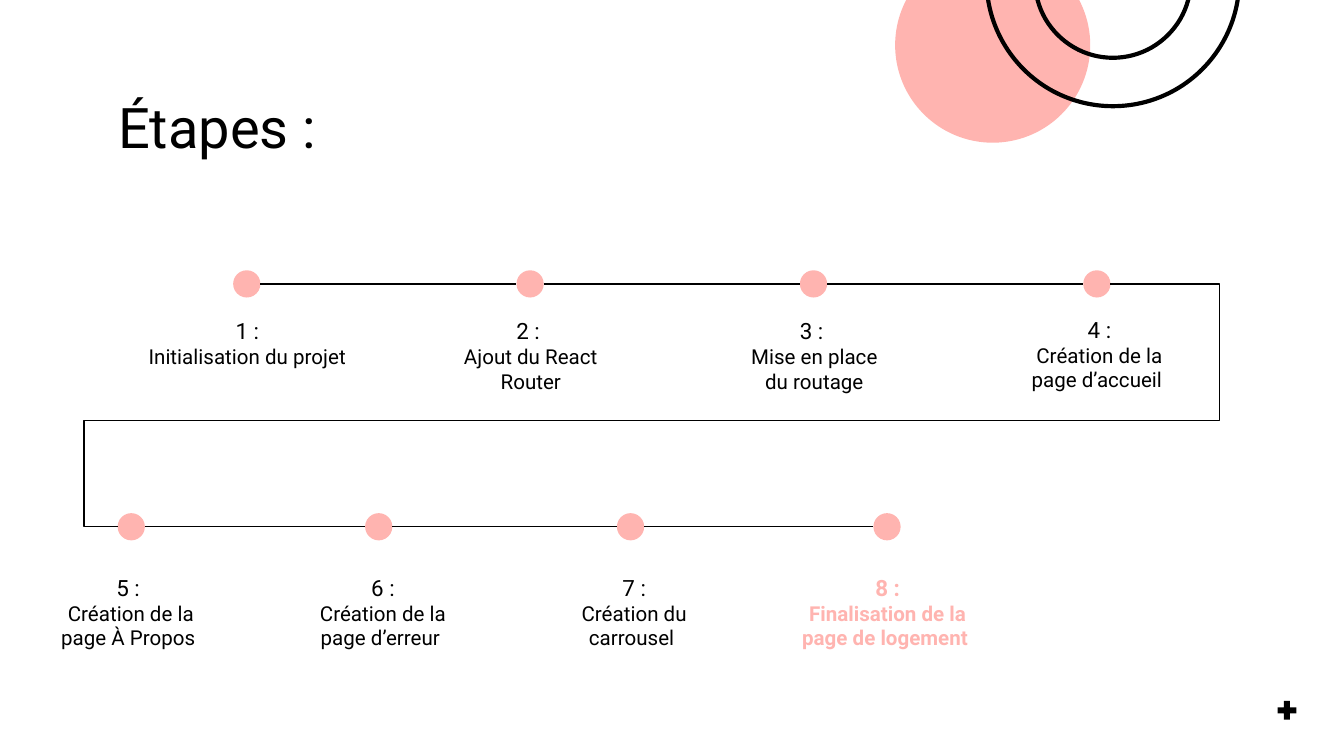
from dataclasses import dataclass

from lxml.etree import SubElement
from pptx import Presentation
from pptx.dml.color import RGBColor
from pptx.enum.shapes import MSO_CONNECTOR as CONN, MSO_SHAPE as SHAPE
from pptx.enum.text import PP_ALIGN as ALIGN
from pptx.oxml.ns import qn
from pptx.util import Pt

COLORS = {"ink": "000000", "accent": "FFB4B0"}
FONT = "Roboto"
DOT = 14.6
ROW_Y = (152.1, 282.2)


@dataclass
class Step:
    number: str
    label: str
    dot_x: float
    row: int
    left: float
    top: float
    width: float = 93.6
    active: bool = False


@dataclass
class Circle:
    cx: float
    cy: float
    size: float
    filled: bool


FIRST_ROW_X = [132.2 + 151.8 * i for i in range(4)]

STEPS = [
    Step("1 :", "Initialisation du projet", FIRST_ROW_X[0], 0, 72, 162.7, 121),
    Step("2 : ", "Ajout du React Router", FIRST_ROW_X[1], 0, 237.6, 162.7),
    Step("3 : ", "Mise en place du routage", FIRST_ROW_X[2], 0, 389.5, 162.7),
    Step("4 :", "Création de la page d’accueil ", FIRST_ROW_X[3], 0, 542.2, 162),
    Step("5 : ", "Création de la page À Propos ", 70.3, 1, 19.4, 300.2, 101.5),
    Step("6 :", "Création de la page d’erreur ", 202.9, 1, 158.4, 300.2),
    Step("7 :", "Création du carrousel ", 337.8, 1, 293, 300.2),
    Step("8 :", "Finalisation de la page de logement ", 475.2, 1, 418.3, 300.2, 114.5, True),
]

CIRCLES = [
    Circle(531.8, 24.2, 104.5, True),
    Circle(596.2, -10.8, 135.4, False),
    Circle(596.2, -10.8, 83.5, False),
]


def rgb(name: str) -> RGBColor:
    return RGBColor.from_string(COLORS[name])


def add_text(s, left: float, top: float, width: float, height: float,
             lines: list[tuple[str, float]], color: str = "ink",
             bold: bool = False, align=ALIGN.CENTER) -> None:
    tf = s.shapes.add_textbox(Pt(left), Pt(top), Pt(width), Pt(height)).text_frame
    tf.word_wrap = True
    tf.margin_left = tf.margin_right = tf.margin_top = tf.margin_bottom = Pt(7.2)
    for i, (text, size) in enumerate(lines):
        p = tf.add_paragraph() if i else tf.paragraphs[0]
        p.alignment = align
        r = p.add_run()
        r.text = text
        r.font.name = FONT
        r.font.size = Pt(size)
        r.font.bold = bold
        r.font.color.rgb = rgb(color)


def add_filled(s, kind, left: float, top: float, size: float, color: str):
    sp = s.shapes.add_shape(kind, Pt(left), Pt(top), Pt(size), Pt(size))
    sp.shadow.inherit = False
    sp.fill.solid()
    sp.fill.fore_color.rgb = rgb(color)
    sp.line.fill.background()
    return sp


def add_circle(s, c: Circle) -> None:
    sp = add_filled(s, SHAPE.OVAL, c.cx - c.size / 2, c.cy - c.size / 2, c.size, "accent")
    if not c.filled:
        sp.fill.background()
        sp.line.color.rgb = rgb("ink")
        sp.line.width = Pt(2.25)


def add_link(s, start: Step, end: Step) -> None:
    same_row = start.row == end.row
    gap = DOT / 2 if same_row else -DOT / 2
    cxn = s.shapes.add_connector(
        CONN.STRAIGHT if same_row else CONN.ELBOW,
        Pt(start.dot_x + DOT / 2), Pt(ROW_Y[start.row]),
        Pt(end.dot_x - DOT / 2), Pt(ROW_Y[end.row]))
    cxn.line.color.rgb = rgb("ink")
    cxn.line.width = Pt(0.75)
    pr = cxn._element.spPr
    SubElement(pr, qn("a:effectLst"))
    if not same_row:
        geom = pr.find(qn("a:prstGeom"))
        geom.set("prst", "bentConnector5")
        guides = geom.find(qn("a:avLst"))
        for i, value in enumerate((-11000, 56300, 103400), 1):
            SubElement(guides, qn("a:gd"), name=f"adj{i}", fmla=f"val {value}")


def main() -> None:
    prs = Presentation()
    prs.slide_width, prs.slide_height = Pt(720), Pt(405)
    s = prs.slides.add_slide(prs.slide_layouts[6])

    add_text(s, 56.2, 42.5, 607.7, 50.4, [("Étapes :", 30)], align=ALIGN.LEFT)
    for step in STEPS:
        add_text(s, step.left, step.top, step.width, 54,
                 [(step.number, 12), (step.label, 11)],
                 "accent" if step.active else "ink", step.active)
        add_circle(s, Circle(step.dot_x, ROW_Y[step.row], DOT, True))
    for start, end in zip(STEPS, STEPS[1:]):
        add_link(s, start, end)
    for circle in CIRCLES:
        add_circle(s, circle)
    add_filled(s, SHAPE.MATH_PLUS, 682.6, 373.7, 13.7, "ink")

    prs.save("out.pptx")


if __name__ == "__main__":
    main()
